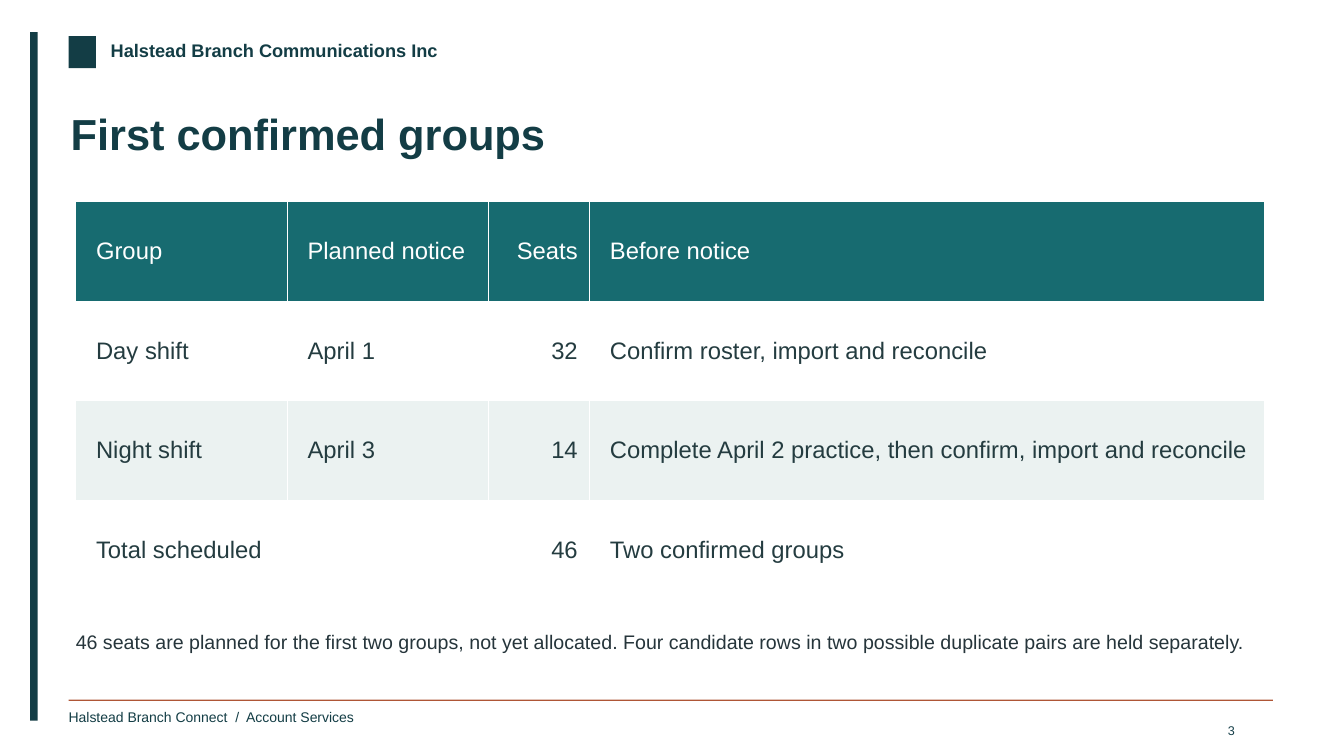
from dataclasses import dataclass

from pptx import Presentation
from pptx.dml.color import RGBColor
from pptx.enum import shapes, text
from pptx.slide import Slide
from pptx.util import Cm, Pt


@dataclass(frozen=True)
class Theme:
    font: str = "Arial"
    ink: str = "133D45"
    accent: str = "AF5636"
    header: str = "176B70"
    band: str = "EBF2F1"
    white: str = "FFFFFF"
    cell_ink: str = "243C40"
    note_ink: str = "26353B"
    number_ink: str = "17404A"
    title_size: int = 31
    table_size: int = 17
    note_size: int = 14
    brand_size: int = 13
    footer_size: int = 10
    number_size: int = 9


THEME = Theme()


@dataclass(frozen=True)
class Box:
    left: float
    top: float
    width: float
    height: float

    def lengths(self) -> tuple[Cm, Cm, Cm, Cm]:
        return Cm(self.left), Cm(self.top), Cm(self.width), Cm(self.height)


@dataclass(frozen=True)
class Bar:
    box: Box
    color: str


@dataclass(frozen=True)
class Label:
    box: Box
    wording: str
    size: int
    color: str
    bold: bool = False
    wrap: bool = False
    align: text.PP_ALIGN = text.PP_ALIGN.LEFT
    inset: tuple[float, float] = (0, 0)


@dataclass(frozen=True)
class Column:
    heading: str
    width: float
    align: text.PP_ALIGN = text.PP_ALIGN.LEFT


BARS = [
    Bar(Box(0.76, 0.81, 0.19, 17.35), THEME.ink),  # side rail
    Bar(Box(1.73, 0.91, 0.69, 0.81), THEME.ink),  # brand mark
    Bar(Box(1.73, 17.63, 30.35, 0.03), THEME.accent),  # footer rule
]

TITLE = Label(Box(1.78, 2.59, 30.23, 2.18), "First confirmed groups",
              THEME.title_size, THEME.ink, bold=True, wrap=True, inset=(0, 0.1))

LABELS = [
    Label(Box(2.79, 0.99, 9.02, 0.69), "Halstead Branch Communications Inc",
          THEME.brand_size, THEME.ink, bold=True),
    Label(Box(1.91, 15.88, 30.02, 1.12),
          "46 seats are planned for the first two groups, not yet allocated. "
          "Four candidate rows in two possible duplicate pairs are held separately.",
          THEME.note_size, THEME.note_ink, wrap=True),
    Label(Box(1.73, 17.86, 6.6, 0.58), "Halstead Branch Connect  /  Account Services",
          THEME.footer_size, THEME.ink),
    Label(Box(29.97, 18.08, 1.4, 0.51), "3", THEME.number_size, THEME.number_ink,
          align=text.PP_ALIGN.RIGHT, inset=(0.25, 0.13)),
]

COLUMNS = [
    Column("Group", 5.33),
    Column("Planned notice", 5.08),
    Column("Seats", 2.54, text.PP_ALIGN.RIGHT),
    Column("Before notice", 17.02),
]
GROUPS = [
    ["Day shift", "April 1", "32", "Confirm roster, import and reconcile"],
    ["Night shift", "April 3", "14",
     "Complete April 2 practice, then confirm, import and reconcile"],
    ["Total scheduled", "", "46", "Two confirmed groups"],
]
TABLE_LEFT, TABLE_TOP, ROW_HEIGHT = 1.91, 5.08, 2.51


def style_paragraph(paragraph, size: int, color: str, bold: bool,
                    align: text.PP_ALIGN) -> None:
    paragraph.alignment = align
    font = paragraph.font
    font.name, font.size, font.bold = THEME.font, Pt(size), bold
    font.color.rgb = RGBColor.from_string(color)


def draw_bar(slide: Slide, bar: Bar) -> None:
    shape = slide.shapes.add_shape(shapes.MSO_SHAPE.RECTANGLE, *bar.box.lengths())
    shape.shadow.inherit = False
    shape.fill.solid()
    shape.fill.fore_color.rgb = RGBColor.from_string(bar.color)
    shape.line.fill.background()


def fill_label(holder, label: Label) -> None:
    frame = holder.text_frame
    frame.text = label.wording
    frame.word_wrap = label.wrap
    frame.auto_size = text.MSO_AUTO_SIZE.NONE
    frame.vertical_anchor = text.MSO_ANCHOR.TOP
    side, end = map(Cm, label.inset)
    frame.margin_left = frame.margin_right = side
    frame.margin_top = frame.margin_bottom = end
    style_paragraph(frame.paragraphs[0], label.size, label.color, label.bold, label.align)


def place_title(slide: Slide, label: Label) -> None:
    title = slide.shapes.title
    title.left, title.top, title.width, title.height = label.box.lengths()
    fill_label(title, label)


def draw_table(slide: Slide) -> None:
    rows = [[column.heading for column in COLUMNS], *GROUPS]
    box = Box(TABLE_LEFT, TABLE_TOP, sum(column.width for column in COLUMNS),
              ROW_HEIGHT * len(rows))
    table = slide.shapes.add_table(len(rows), len(COLUMNS), *box.lengths()).table
    for grid_column, column in zip(table.columns, COLUMNS):
        grid_column.width = Cm(column.width)
    for r, row in enumerate(rows):
        table.rows[r].height = Cm(ROW_HEIGHT)
        fill = THEME.header if r == 0 else THEME.white if r % 2 else THEME.band
        color = THEME.white if r == 0 else THEME.cell_ink
        for c, (column, wording) in enumerate(zip(COLUMNS, row)):
            cell = table.cell(r, c)
            cell.text = wording
            cell.fill.solid()
            cell.fill.fore_color.rgb = RGBColor.from_string(fill)
            cell.vertical_anchor = text.MSO_ANCHOR.MIDDLE
            cell.margin_left, cell.margin_right = Cm(0.51), Cm(0.3)
            cell.margin_top = cell.margin_bottom = Cm(0.13)
            style_paragraph(cell.text_frame.paragraphs[0], THEME.table_size, color,
                            False, column.align)


def main() -> None:
    deck = Presentation()
    deck.slide_width, deck.slide_height = Cm(33.87), Cm(19.05)
    slide = deck.slides.add_slide(deck.slide_layouts.get_by_name("Title Only"))

    # Frame of the page
    for bar in BARS:
        draw_bar(slide, bar)

    # Title, table and texts
    place_title(slide, TITLE)
    draw_table(slide)
    for label in LABELS:
        fill_label(slide.shapes.add_textbox(*label.box.lengths()), label)

    deck.save("out.pptx")


if __name__ == "__main__":
    main()
